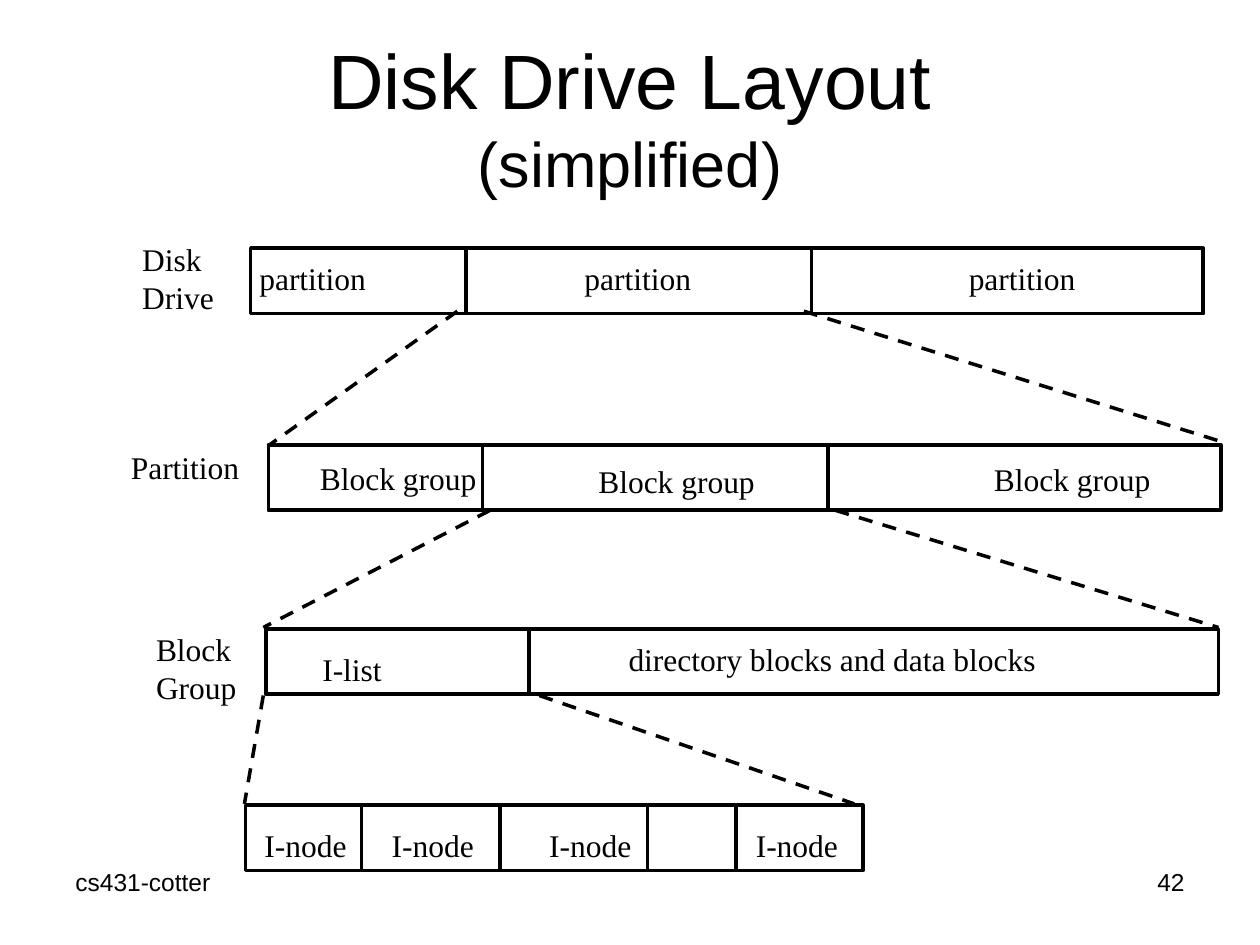
from lxml import etree
from pptx import Presentation
from pptx import util as u
from pptx.dml import color
from pptx.enum import dml, shapes, text
from pptx.oxml import ns

INK = color.RGBColor(0, 0, 0)
THEME = {
    "title": {"size": u.Pt(44), "name": "Arial"},
    "subtitle": {"size": u.Pt(36), "name": "Arial"},
    "footer": {"size": u.Pt(14), "name": "Arial"},
    "label": {"size": u.Pt(18), "name": "Times New Roman"},
    "line": u.Pt(2),
}
BAR_HEIGHT = 0.52

deck = Presentation()
deck.slide_width, deck.slide_height = u.Inches(10), u.Inches(7.5)
slide = deck.slides.add_slide(deck.slide_layouts[5])


def add_text(wording, box, style, align=text.PP_ALIGN.LEFT, wrap=False):
    frame = slide.shapes.add_textbox(*map(u.Inches, box)).text_frame
    frame.word_wrap = wrap
    frame.text = wording
    for paragraph in frame.paragraphs:
        paragraph.alignment = align
        for key, value in THEME[style].items():
            setattr(paragraph.font, key, value)
        paragraph.font.color.rgb = INK


def add_line(x1, y1, x2, y2, dash=None):
    line = slide.shapes.add_connector(
        shapes.MSO_CONNECTOR.STRAIGHT, *map(u.Inches, (x1, y1, x2, y2)))
    line.line.color.rgb = INK
    line.line.width = THEME["line"]
    line.line.dash_style = dash
    properties = line._element.find(ns.qn("p:spPr"))
    etree.SubElement(properties, ns.qn("a:effectLst"))


title = slide.shapes.title
title.left, title.top, title.width, title.height = map(u.Inches, (0.5, 0.3, 9, 1.25))
heading = title.text_frame
heading.auto_size = text.MSO_AUTO_SIZE.NONE
heading.vertical_anchor = text.MSO_ANCHOR.MIDDLE
heading.text = "Disk Drive Layout\v(simplified)"
heading.paragraphs[0].alignment = text.PP_ALIGN.CENTER
for run, style in zip(heading.paragraphs[0].runs, ("title", "subtitle")):
    for key, value in THEME[style].items():
        setattr(run.font, key, value)
    run.font.color.rgb = INK

add_text("cs431-cotter", (0.5, 6.83, 2.33, 0.52), "footer", wrap=True)
add_text("42", (7.17, 6.83, 2.33, 0.52), "footer", text.PP_ALIGN.RIGHT, True)

levels = [
    {"bar": (1.99, 1.97, 7.56), "dividers": (3.7, 6.44),
     "name": ("Disk\nDrive", 1.03, 1.86, 0.77, 0.7),
     "parts": [("partition", x, 2.01, 1.05) for x in (1.96, 4.54, 7.59)]},
    {"bar": (2.13, 3.53, 7.56), "dividers": (3.83, 6.57),
     "name": ("Partition", 0.94, 3.51, 1.06, 0.4),
     "parts": [("Block group", x, y, 1.45)
               for x, y in ((2.44, 3.59), (4.65, 3.62), (7.79, 3.6))]},
    {"bar": (2.11, 4.99, 7.56), "dividers": (4.2,),
     "name": ("Block\nGroup", 1.14, 4.95, 0.86, 0.7),
     "parts": [("I-list", 2.46, 5.11, 0.67),
               ("directory blocks and data blocks", 4.89, 5.03, 3.44)]},
    {"bar": (1.95, 6.39, 4.9), "dividers": (2.87, 3.97, 5.14, 5.84),
     "name": None,
     "parts": [("I-node", x, 6.51, 0.85) for x in (2, 3.01, 4.26, 5.9)]},
]
for level in levels:
    left, top, width = level["bar"]
    bar = slide.shapes.add_shape(
        shapes.MSO_SHAPE.RECTANGLE, *map(u.Inches, (left, top, width, BAR_HEIGHT)))
    bar.shadow.inherit = False
    bar.fill.background()
    bar.line.color.rgb = INK
    bar.line.width = THEME["line"]
    for x in level["dividers"]:
        add_line(x, top - 0.01, x, top + BAR_HEIGHT + 0.01)
    if level["name"]:
        wording, *box = level["name"]
        add_text(wording, box, "label")
    for wording, x, y, part_width in level["parts"]:
        add_text(wording, (x, y, part_width, 0.4), "label")

expansions = [
    (3.63, 2.47, 2.14, 3.53), (6.38, 2.47, 9.74, 3.52),
    (3.89, 4.05, 2.09, 4.98), (6.63, 4.05, 9.67, 4.98),
    (2.09, 5.52, 1.94, 6.38), (4.28, 5.52, 6.78, 6.38),
]
for ends in expansions:
    add_line(*ends, dash=dml.MSO_LINE.DASH)

deck.save("out.pptx")
